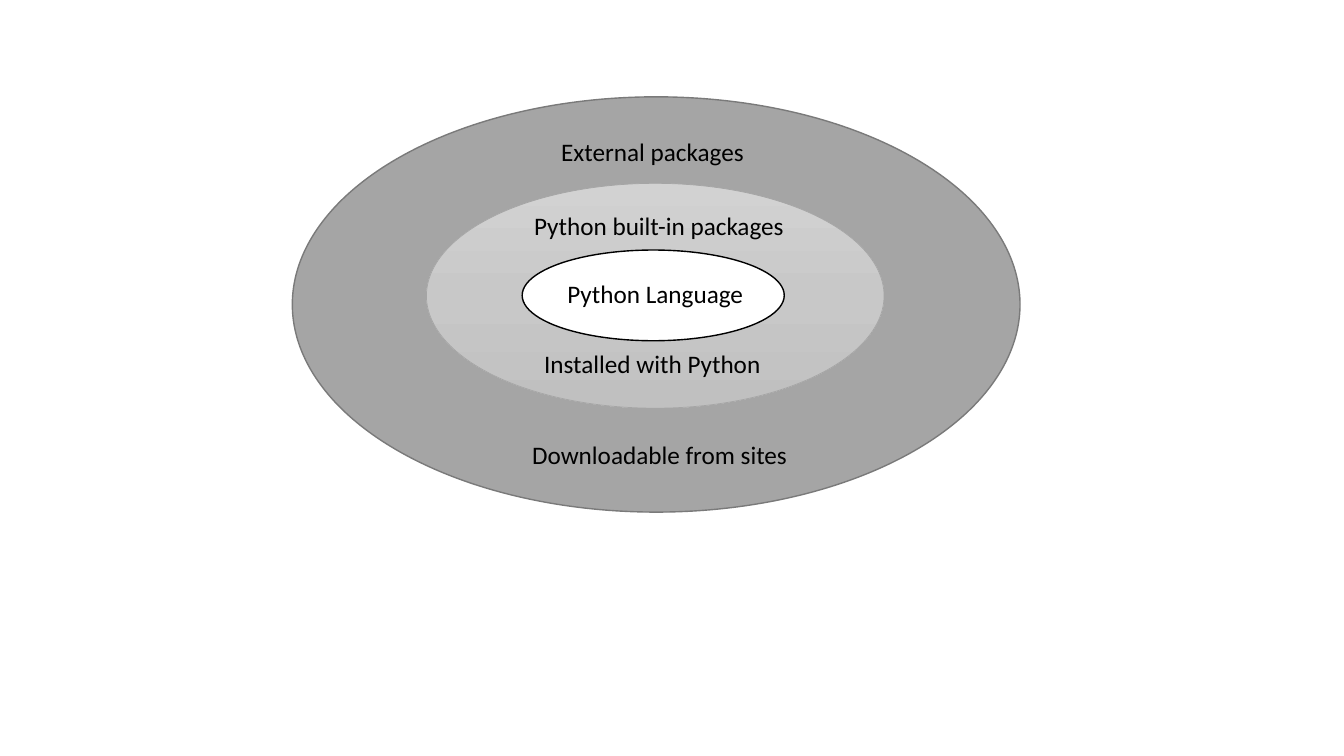
"""Draw nested ellipses that show the layers of Python packages."""
from copy import deepcopy
from pptx import Presentation
from pptx.dml.color import RGBColor
from pptx.enum import shapes, text
from pptx.oxml.ns import qn
from pptx.util import Pt

BLACK = RGBColor(0, 0, 0)
WHITE = RGBColor(255, 255, 255)
GRAY = RGBColor(0xA5, 0xA5, 0xA5)
EDGE = RGBColor(0x7A, 0x7A, 0x7A)
FADE = [(0, RGBColor(0xD2, 0xD2, 0xD2)),
        (0.5, RGBColor(0xC8, 0xC8, 0xC8)),
        (1, RGBColor(0xC0, 0xC0, 0xC0))]

RINGS = [
    ((208.8, 69.2, 519.8, 296.6), GRAY, EDGE, 1),
    ((304.6, 131, 326.9, 160.6), FADE, GRAY, 0.5),
    ((373, 178.6, 187.2, 64.8), WHITE, BLACK, 1),
]
LABELS = [
    ("External packages", 393.8, 93.6, 146.2),
    ("Python built-in packages", 374.4, 146.9, 195.8),
    ("Python Language", 398.2, 195.1, 141.8),
    ("Installed with Python", 381.6, 245.5, 170.6),
    ("Downloadable from sites", 373, 310.3, 198.7),
]
HIGH = 28.8
FRAME = {"word_wrap": False, "auto_size": text.MSO_AUTO_SIZE.SHAPE_TO_FIT_TEXT}
FONT = {"name": "Calibri", "size": Pt(18)}


def put(item, values):
    for key, value in values.items():
        setattr(item, key, value)


def shade(fill, stops):
    fill.gradient()
    fill.gradient_angle = 270
    first = fill.gradient_stops[0]
    node = ring.element.spPr.find(".//" + qn("a:gs"))
    node.addnext(deepcopy(node))
    for stop, (place, color) in zip(fill.gradient_stops, stops):
        stop.position = place
        stop.color.rgb = color


deck = Presentation()
put(deck, {"slide_width": Pt(960), "slide_height": Pt(540)})
slide = deck.slides.add_slide(deck.slide_layouts[6])

for box, fill, edge, width in RINGS:
    ring = slide.shapes.add_shape(shapes.MSO_SHAPE.OVAL, *map(Pt, box))
    ring.shadow.inherit = False
    if fill is FADE:
        shade(ring.fill, fill)
    else:
        ring.fill.solid()
        ring.fill.fore_color.rgb = fill
    ring.line.color.rgb = edge
    ring.line.width = Pt(width)

for words, left, top, wide in LABELS:
    label = slide.shapes.add_textbox(*map(Pt, (left, top, wide, HIGH)))
    put(label.text_frame, FRAME)
    run = label.text_frame.paragraphs[0].add_run()
    run.text = words
    put(run.font, FONT)
    run.font.color.rgb = BLACK

deck.save("out.pptx")
